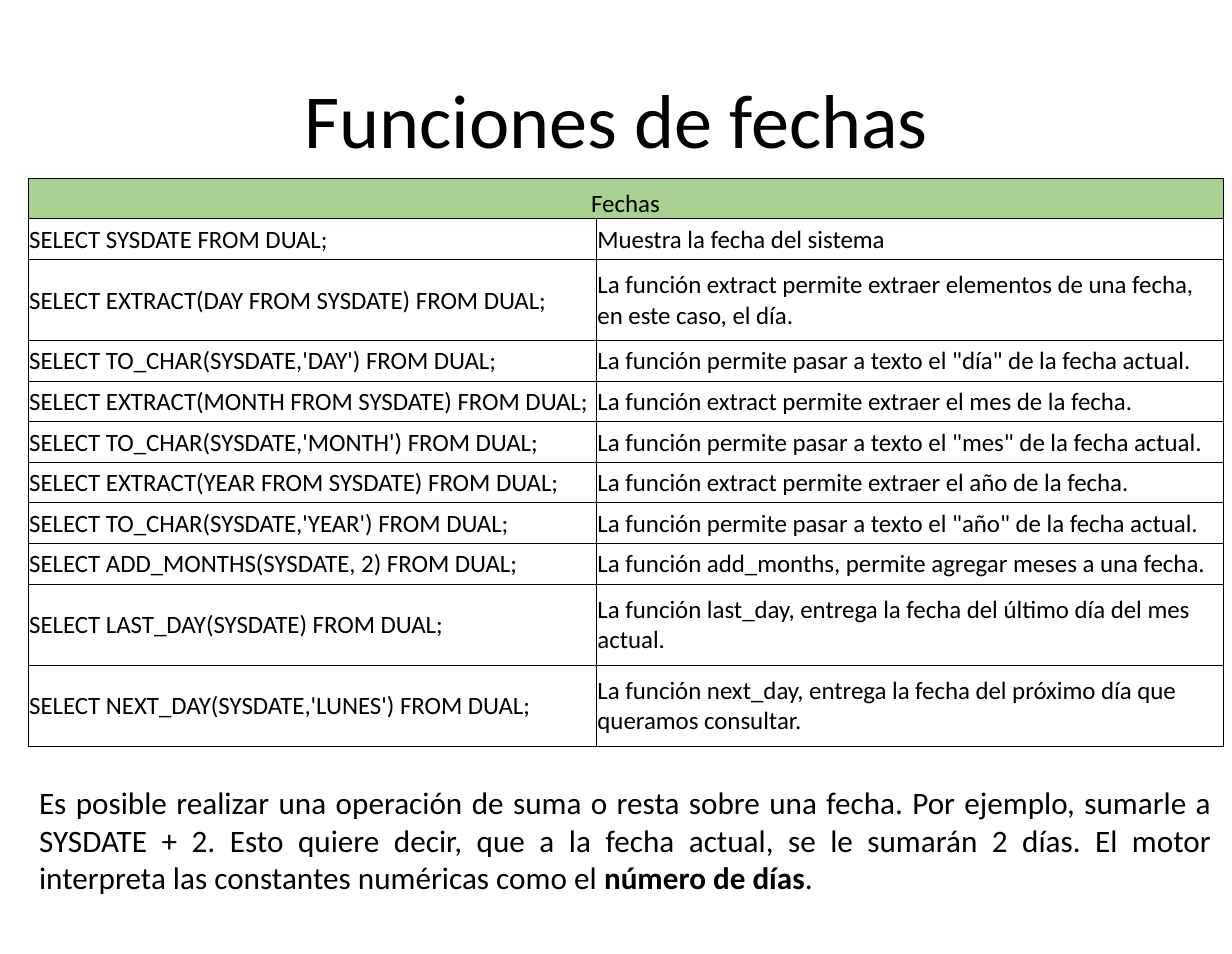
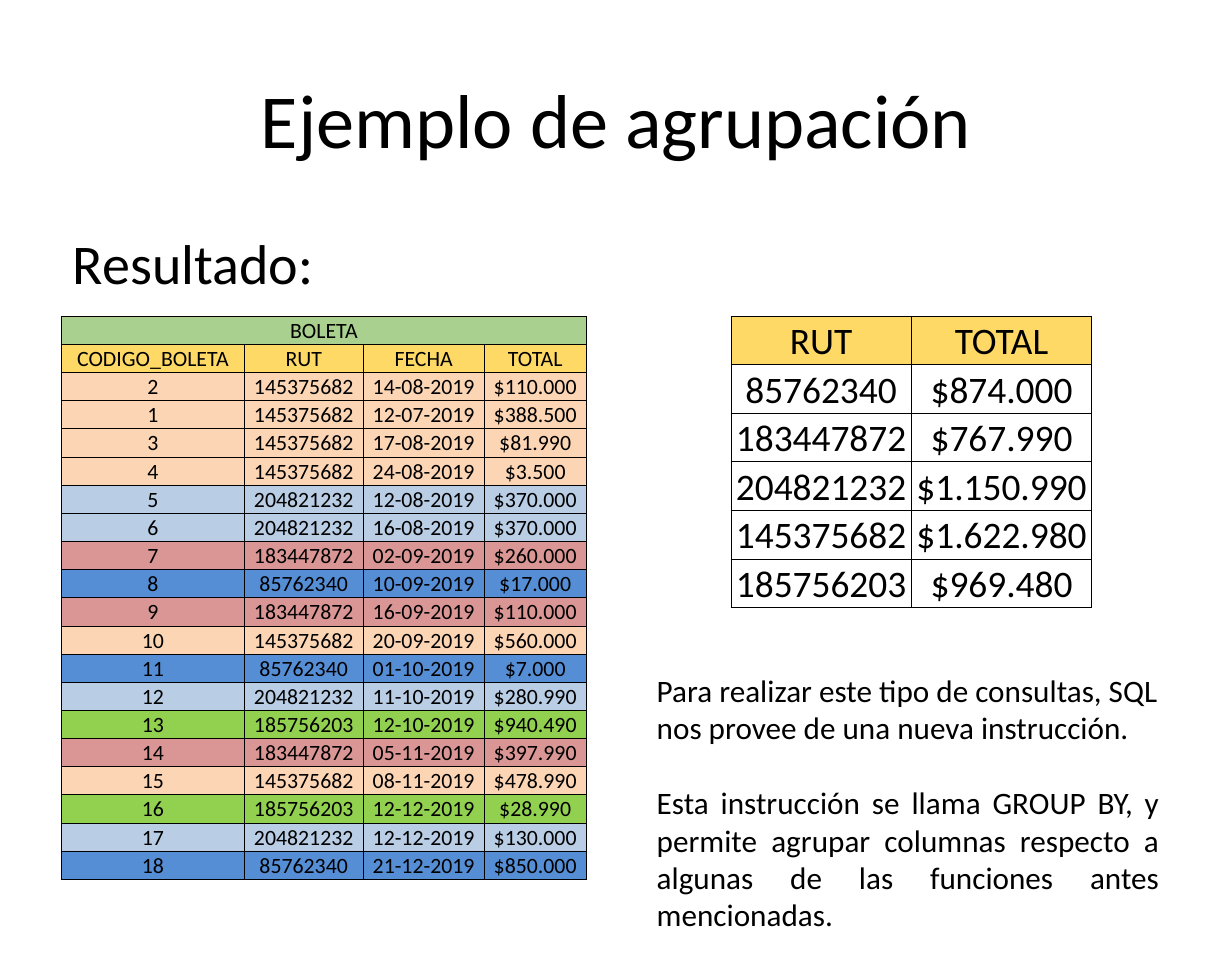
from pptx import Presentation
from pptx.dml.color import RGBColor
from pptx.enum.text import MSO_ANCHOR as Anchor, MSO_AUTO_SIZE as Fit, PP_ALIGN as Align
from pptx.oxml import parse_xml
from pptx.oxml.ns import nsdecls
from pptx.util import Inches, Pt

rgb = RGBColor.from_string
FONT, BLACK = "Calibri", "000000"
GREEN, GOLD = "A9D08E", "FFD966"


def write(frame, text, size=20, align=Align.LEFT, before=0, bullet=True):
    """Add one paragraph; text between ** marks is bold."""
    para = frame.add_paragraph() if frame.text else frame.paragraphs[0]
    if not bullet:
        props = para._p.get_or_add_pPr()
        props.set("marL", "0")
        props.set("indent", "0")
        props.append(parse_xml(f"<a:buNone {nsdecls('a')}/>"))
    para.alignment = align
    para.space_before = Pt(before)
    for i, part in enumerate(text.split("**")):
        run = para.add_run()
        run.text = part
        run.font.name = FONT
        run.font.size = Pt(size)
        run.font.bold = i % 2 == 1
        run.font.color.rgb = rgb(BLACK)


def grid(slide, left, top, cols, high, rows, fills, size,
         align=Align.CENTER, anchor=Anchor.MIDDLE, double=()):
    """Draw a bordered table; a row of one cell spans all columns,
    and the rows numbered in double are twice as high."""
    unit = high / (len(rows) + len(double))
    table = slide.shapes.add_table(
        len(rows), len(cols), Inches(left), Inches(top),
        Inches(sum(cols)), Inches(high)).table
    table.first_row = table.horz_banding = False
    for col, wide in zip(table.columns, cols):
        col.width = Inches(wide)
    for r, (row, fill) in enumerate(zip(rows, fills)):
        table.rows[r].height = Inches(unit * (2 if r in double else 1))
        title = len(row) == 1
        if title:
            table.cell(r, 0).merge(table.cell(r, len(cols) - 1))
        for c in range(len(cols)):
            cell = table.cell(r, c)
            cell.margin_left = cell.margin_right = cell.margin_top = Inches(0.01)
            cell.margin_bottom = 0
            cell.vertical_anchor = anchor
            if fill:
                cell.fill.solid()
                cell.fill.fore_color.rgb = rgb(fill)
            else:
                cell.fill.background()
            for i, side in enumerate("LRTB"):
                cell._tc.get_or_add_tcPr().insert(i, parse_xml(
                    f'<a:ln{side} {nsdecls("a")} w="{Pt(0.5)}"><a:solidFill>'
                    f'<a:srgbClr val="{BLACK}"/></a:solidFill></a:ln{side}>'))
            if c < len(row):
                write(cell.text_frame, row[c], size=size,
                      align=Align.CENTER if title else align)
    return table


deck = Presentation()
deck.slide_width, deck.slide_height = Inches(10.99), Inches(8.51)

# Slides and their titles
slides = []
for layout, name in ((5, "Funciones de fechas"), (1, "Ejemplo de agrupación")):
    slide = deck.slides.add_slide(deck.slide_layouts[layout])
    title = slide.shapes.title
    title.left, title.top = Inches(0.55), Inches(0.34)
    title.width, title.height = Inches(9.89), Inches(1.42)
    title.text_frame.auto_size = Fit.NONE
    title.text_frame.vertical_anchor = Anchor.MIDDLE
    write(title.text_frame, name, size=49, align=Align.CENTER)
    slides.append(slide)
dates, group = slides

# Date functions
calls = [
    ("Fechas",),
    ("SELECT SYSDATE FROM DUAL;", "Muestra la fecha del sistema"),
    ("SELECT EXTRACT(DAY FROM SYSDATE) FROM DUAL;",
     "La función extract permite extraer elementos de una fecha, en este caso, el día."),
    ("SELECT TO_CHAR(SYSDATE,'DAY') FROM DUAL;",
     'La función permite pasar a texto el "día" de la fecha actual.'),
    ("SELECT EXTRACT(MONTH FROM SYSDATE) FROM DUAL;",
     "La función extract permite extraer el mes de la fecha."),
    ("SELECT TO_CHAR(SYSDATE,'MONTH') FROM DUAL;",
     'La función permite pasar a texto el "mes" de la fecha actual.'),
    ("SELECT EXTRACT(YEAR FROM SYSDATE) FROM DUAL;",
     "La función extract permite extraer el año de la fecha."),
    ("SELECT TO_CHAR(SYSDATE,'YEAR') FROM DUAL;",
     'La función permite pasar a texto el "año" de la fecha actual.'),
    ("SELECT ADD_MONTHS(SYSDATE, 2) FROM DUAL;",
     "La función add_months, permite agregar meses a una fecha."),
    ("SELECT LAST_DAY(SYSDATE) FROM DUAL;",
     "La función last_day, entrega la fecha del último día del mes actual."),
    ("SELECT NEXT_DAY(SYSDATE,'LUNES') FROM DUAL;",
     "La función next_day, entrega la fecha del próximo día que queramos consultar."),
]
table = grid(dates, 0.25, 1.59, (5.07, 5.59), 5.07, calls,
             [GREEN] + [None] * (len(calls) - 1), 16,
             align=Align.LEFT, double=(2, 9, 10))
table.cell(0, 0).vertical_anchor = Anchor.BOTTOM

note = dates.shapes.add_textbox(
    Inches(0.25), Inches(6.94), Inches(10.66), Inches(1.11)).text_frame
note.word_wrap = True
write(note, "Es posible realizar una operación de suma o resta sobre una fecha. "
      "Por ejemplo, sumarle a SYSDATE + 2. Esto quiere decir, que a la fecha actual, "
      "se le sumarán 2 días. El motor interpreta las constantes numéricas como el "
      "**número de días**.", align=Align.JUSTIFY)

# Grouping example
body = group.placeholders[1]
body.left, body.top = Inches(0.55), Inches(1.99)
body.width, body.height = Inches(9.89), Inches(5.62)
body.text_frame.auto_size = Fit.NONE
write(body.text_frame, "Resultado:", size=36, bullet=False)

tints = {
    "145375682": "FCD5B5",
    "204821232": "B9CDE5",
    "183447872": "D99694",
    "85762340": "558ED5",
    "185756203": "92D050",
}
bills = [
    ("2", "145375682", "14-08-2019", "$110.000"),
    ("1", "145375682", "12-07-2019", "$388.500"),
    ("3", "145375682", "17-08-2019", "$81.990"),
    ("4", "145375682", "24-08-2019", "$3.500"),
    ("5", "204821232", "12-08-2019", "$370.000"),
    ("6", "204821232", "16-08-2019", "$370.000"),
    ("7", "183447872", "02-09-2019", "$260.000"),
    ("8", "85762340", "10-09-2019", "$17.000"),
    ("9", "183447872", "16-09-2019", "$110.000"),
    ("10", "145375682", "20-09-2019", "$560.000"),
    ("11", "85762340", "01-10-2019", "$7.000"),
    ("12", "204821232", "11-10-2019", "$280.990"),
    ("13", "185756203", "12-10-2019", "$940.490"),
    ("14", "183447872", "05-11-2019", "$397.990"),
    ("15", "145375682", "08-11-2019", "$478.990"),
    ("16", "185756203", "12-12-2019", "$28.990"),
    ("17", "204821232", "12-12-2019", "$130.000"),
    ("18", "85762340", "21-12-2019", "$850.000"),
]
heads = [("BOLETA",), ("CODIGO_BOLETA", "RUT", "FECHA", "TOTAL")]
grid(group, 0.55, 2.82, (1.63, 1.06, 1.08, 0.91), 5.03, heads + bills,
     [GREEN, GOLD] + [tints[bill[1]] for bill in bills], 14)

sums = [
    ("RUT", "TOTAL"),
    ("85762340", "$874.000"),
    ("183447872", "$767.990"),
    ("204821232", "$1.150.990"),
    ("145375682", "$1.622.980"),
    ("185756203", "$969.480"),
]
grid(group, 6.52, 2.82, (1.61, 1.61), 2.6, sums,
     [GOLD] + [None] * (len(sums) - 1), 24, anchor=Anchor.BOTTOM)

note = group.shapes.add_textbox(
    Inches(5.76), Inches(5.94), Inches(4.68), Inches(2.46)).text_frame
note.word_wrap = True
write(note, "Para realizar este tipo de consultas, SQL nos provee de una nueva instrucción.")
write(note, "Esta instrucción se llama GROUP BY, y permite agrupar columnas respecto a "
      "algunas de las funciones antes mencionadas.", align=Align.JUSTIFY, before=24)

deck.save("out.pptx")
